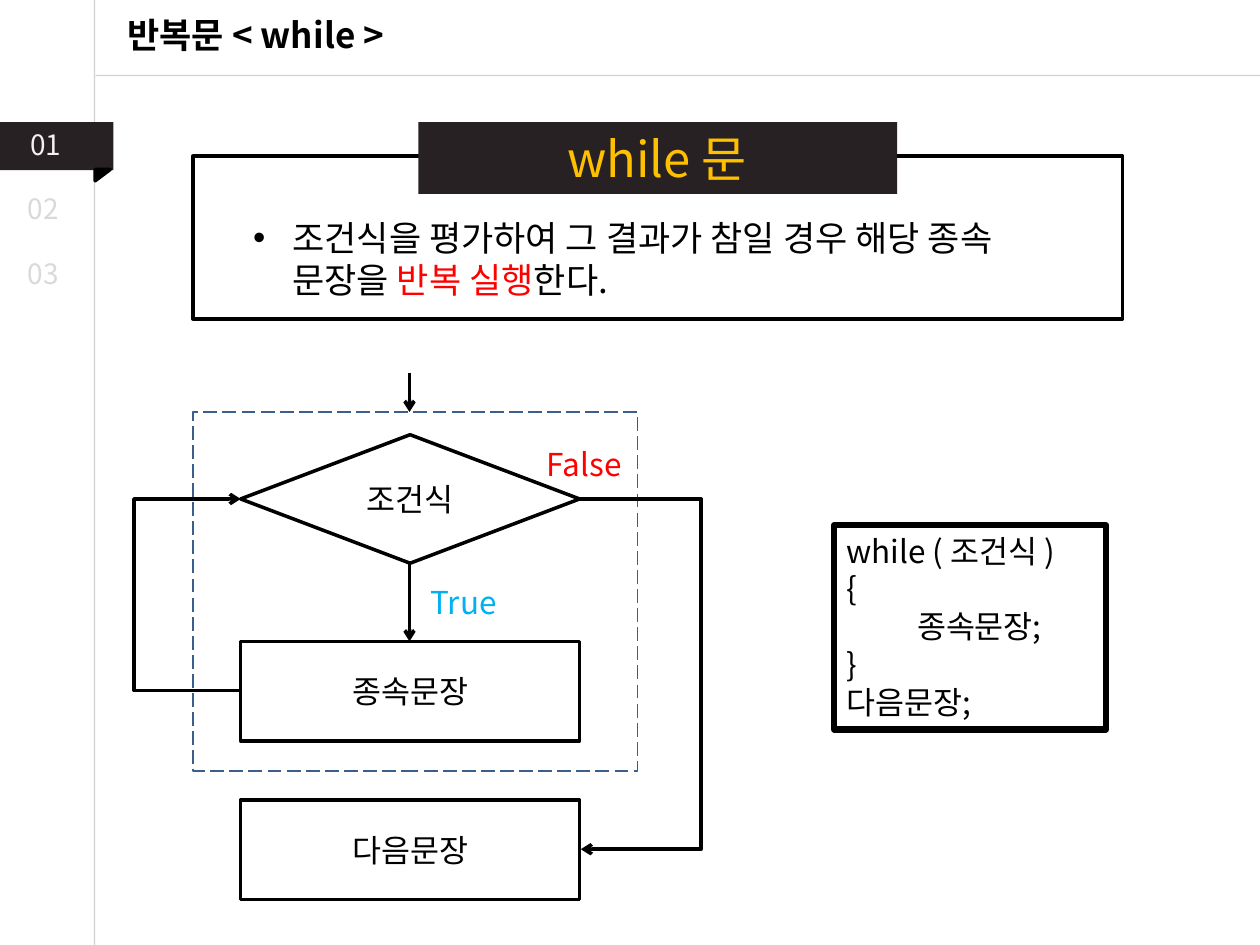
from pptx import Presentation, util as u
from pptx.dml.color import RGBColor
from pptx.enum import dml, shapes, text
from pptx.oxml.ns import qn
from lxml import etree

COLORS = {"ink": "000000", "dark": "272123", "rule": "A6A6A6", "gold": "FFC000",
          "red": "FF0000", "sky": "00B0F0", "dash": "3A5F8C",
          "active": "F2F2F2", "idle": "D9D9D9"}
KIND = shapes.MSO_SHAPE
ALIGN = text.PP_ALIGN


def color(name):
    return RGBColor.from_string(COLORS[name])


class Page:
    font = "Noto Sans CJK KR"

    def __init__(self, deck):
        self.slide = deck.slides.add_slide(deck.slide_layouts[1])

    def place(self, box, at):
        box.left, box.top, box.width, box.height = [u.Inches(value) for value in at]

    def style(self, span, size, name, bold=False):
        span.font.size = u.Pt(size)
        span.font.name = self.font
        span.font.bold = bold
        span.font.color.rgb = color(name)
        latin = span.font._element.find(qn("a:latin"))
        east = etree.Element(qn("a:ea"), typeface=self.font)
        latin.addnext(east)

    def set_text(self, box, lines, size, name="ink", align=ALIGN.LEFT, bold=False,
                 anchor=text.MSO_ANCHOR.TOP):
        frame = box.text_frame
        frame.word_wrap = True
        frame.vertical_anchor = anchor
        frame.text = lines
        for para in frame.paragraphs:
            para.alignment = align
            for span in para.runs:
                self.style(span, size, name, bold)

    def indent(self, para, left, first=0):
        props = para._p.get_or_add_pPr()
        props.set("marL", str(u.Inches(left)))
        props.set("indent", str(u.Inches(first)))

    def title(self, at, words):
        box = self.slide.shapes.title
        self.place(box, at)
        self.set_text(box, words, 20, align=ALIGN.CENTER, bold=True)

    def bullet(self, at, parts):
        box = self.slide.placeholders[1]
        self.place(box, at)
        para = box.text_frame.paragraphs[0]
        para.space_before = u.Pt(0)
        self.indent(para, 0.31, -0.31)
        for words, name in parts:
            span = para.add_run()
            span.text = words
            self.style(span, 20, name)

    def label(self, at, words, size, name, align=ALIGN.LEFT):
        box = self.slide.shapes.add_textbox(*[u.Inches(value) for value in at])
        self.set_text(box, words, size, name, align)

    def shape(self, at, kind=KIND.RECTANGLE, fill=None, line=None, width=2):
        box = self.slide.shapes.add_shape(kind, *[u.Inches(value) for value in at])
        box.shadow.inherit = False
        if fill:
            box.fill.solid()
            box.fill.fore_color.rgb = color(fill)
        else:
            box.fill.background()
        if line:
            box.line.color.rgb = color(line)
            box.line.width = u.Pt(width)
        else:
            box.line.fill.background()
        return box

    def step(self, at, words, kind=KIND.RECTANGLE):
        box = self.shape(at, kind, line="ink")
        self.set_text(box, words, 18, align=ALIGN.CENTER, anchor=text.MSO_ANCHOR.MIDDLE)

    def connector(self, start, end, kind=shapes.MSO_CONNECTOR.STRAIGHT, name="ink", width=2):
        ends = [u.Inches(value) for value in (*start, *end)]
        link = self.slide.shapes.add_connector(kind, *ends)
        link.line.color.rgb = color(name)
        link.line.width = u.Pt(width)
        etree.SubElement(link._element.spPr, qn("a:effectLst"))
        return link

    def rule(self, start, end):
        link = self.connector(start, end, name="rule", width=0.75)
        tint = link.line._ln.find(".//" + qn("a:srgbClr"))
        etree.SubElement(tint, qn("a:alpha"), val="50000")

    def head(self, link):
        etree.SubElement(link.line._ln, qn("a:tailEnd"), type="arrow")

    def arrow(self, start, end):
        self.head(self.connector(start, end))

    def bent_arrow(self, start, end, reach, turned=False):
        first, last = (end, start) if turned else (start, end)
        link = self.connector(first, last, shapes.MSO_CONNECTOR.ELBOW)
        if turned:
            link._element.spPr.find(qn("a:xfrm")).set("rot", "10800000")
        ratio = round(reach / (last[0] - first[0]) * 100000)
        guides = link._element.spPr.find(qn("a:prstGeom")).find(qn("a:avLst"))
        etree.SubElement(guides, qn("a:gd"), name="adj1", fmla=f"val {ratio}")
        self.head(link)


deck = Presentation()
deck.slide_width, deck.slide_height = u.Inches(10), u.Inches(7.5)
page = Page(deck)

page.rule((0.75, 0), (0.75, 7.5))
page.rule((0.76, 0.6), (10, 0.6))
page.title((0.81, 0.06, 2.44, 0.44), "반복문 < while >")

page.shape((1.53, 1.24, 7.38, 1.29), line="ink")
page.shape((3.32, 0.97, 3.8, 0.57), fill="dark")
page.label((2.98, 0.97, 4.47, 0.57), "while 문", 28, "gold", ALIGN.CENTER)
page.bullet((1.91, 1.67, 6.87, 0.77), [
    ("조건식을 평가하여 그 결과가 참일 경우 해당 종속 문장을 ", "ink"),
    ("반복 실행", "red"), ("한다.", "ink")])

page.step((1.91, 3.45, 2.69, 1.02), "조건식", KIND.DIAMOND)
for top, words in ((5.09, "종속문장"), (6.35, "다음문장")):
    page.step((1.91, top, 2.69, 0.79), words)
page.arrow((3.25, 4.47), (3.25, 5.09))
page.arrow((3.25, 2.96), (3.25, 3.27))
loop = page.shape((1.53, 3.27, 3.53, 2.85), line="dash", width=1)
loop.line.dash_style = dml.MSO_LINE.LONG_DASH
page.bent_arrow((4.6, 3.96), (4.61, 6.74), 0.98)
page.bent_arrow((1.92, 5.48), (1.91, 3.96), 0.87, turned=True)
page.label((3.32, 4.58, 0.92, 0.4), "True", 18, "sky")
page.label((4.24, 3.48, 0.92, 0.4), "False", 18, "red")

code = page.shape((6.62, 4.17, 2.16, 1.62), line="ink", width=3.5)
page.set_text(code, "while ( 조건식 )\n{\n종속문장;\n}\n다음문장;", 18)
page.indent(code.text_frame.paragraphs[2], 0.56)

page.shape((0, 0.97, 0.9, 0.38), fill="dark")
fold = page.shape((0.77, 1.33, 0.09, 0.12), KIND.RIGHT_TRIANGLE, "ink", "ink")
fold.rotation = 90
for left, top, number, name in ((0.14, 0.96, "01", "active"),
                                (0.12, 1.47, "02", "idle"),
                                (0.12, 1.99, "03", "idle")):
    page.label((left, top, 0.55, 0.37), number, 16, name)

deck.save("out.pptx")
